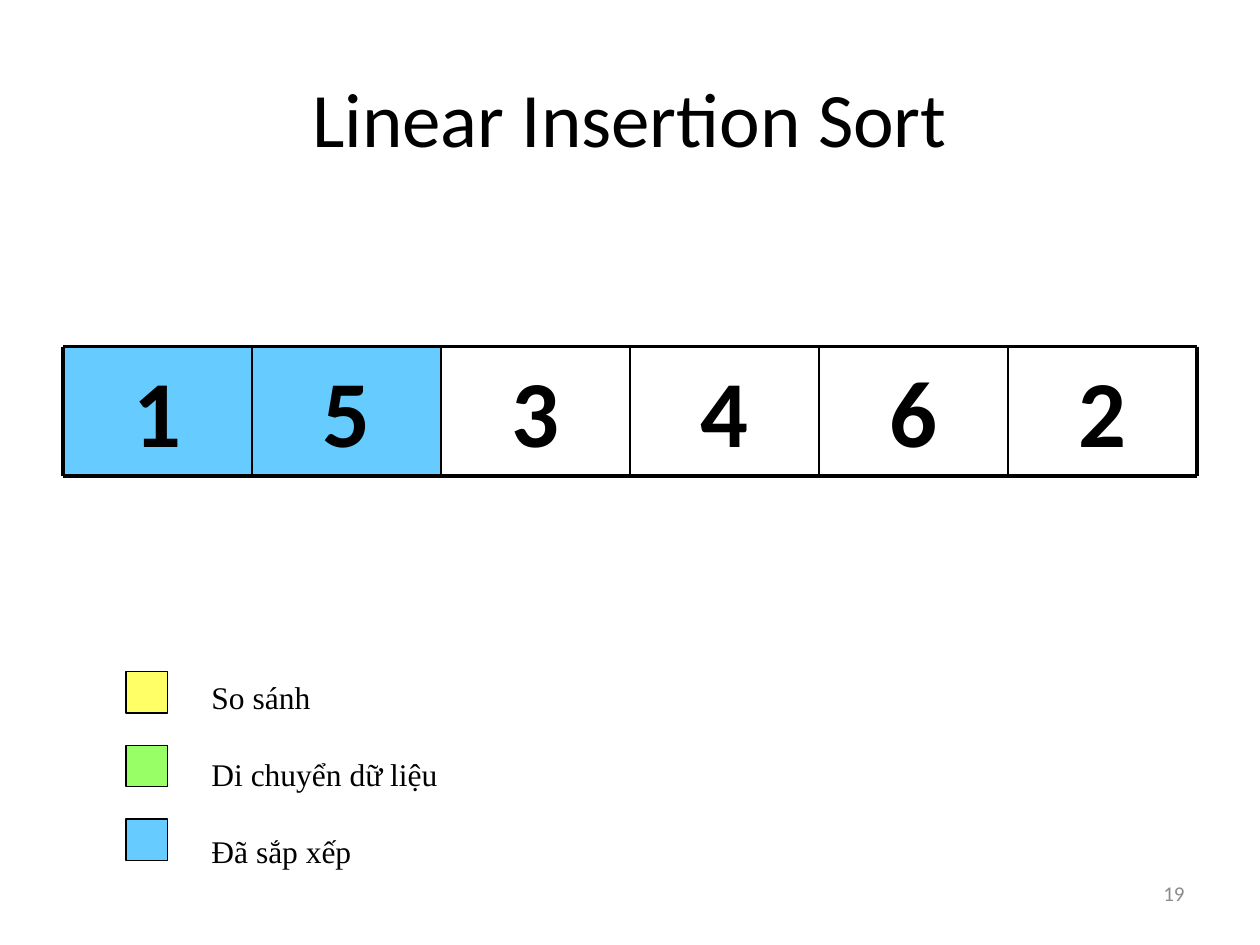
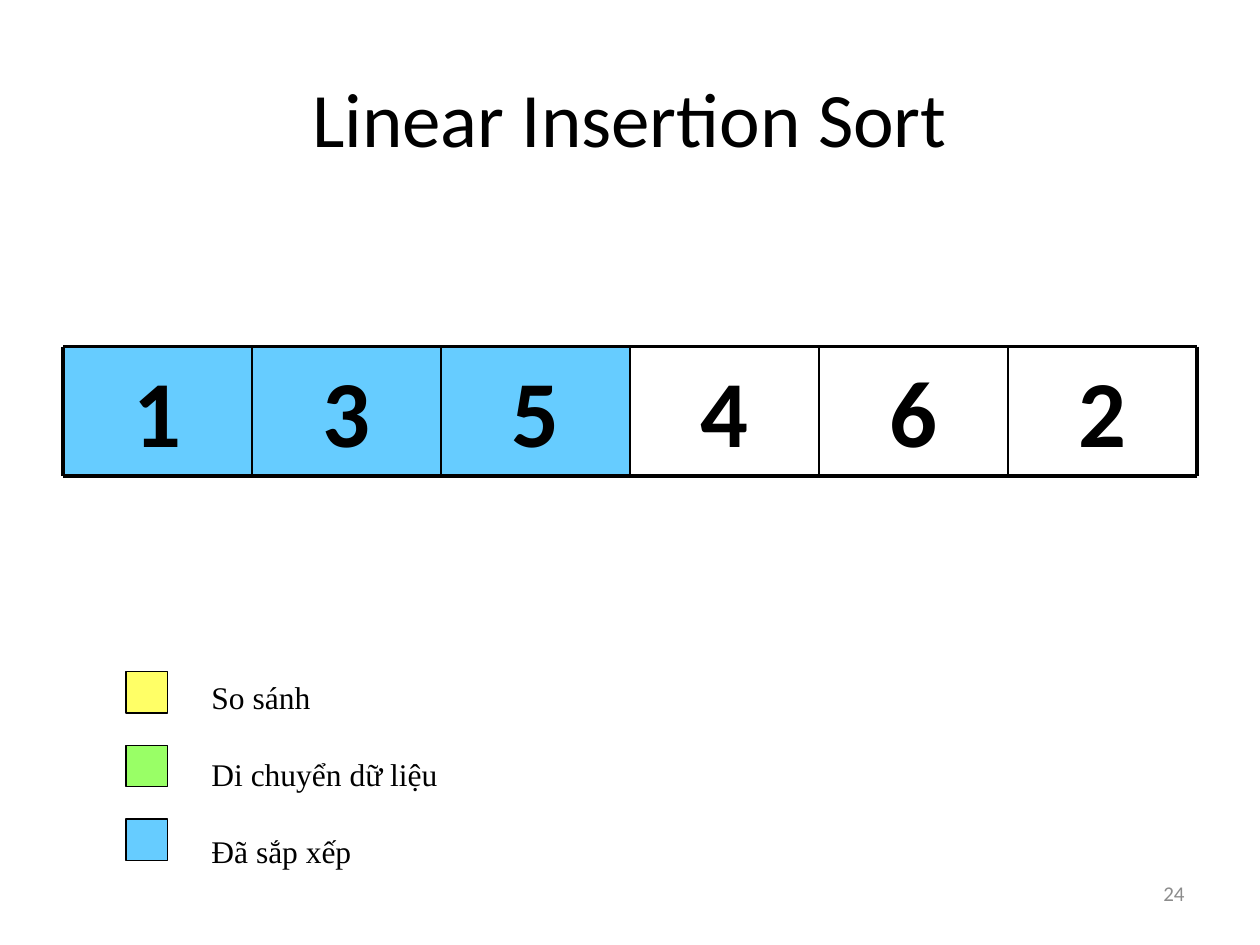
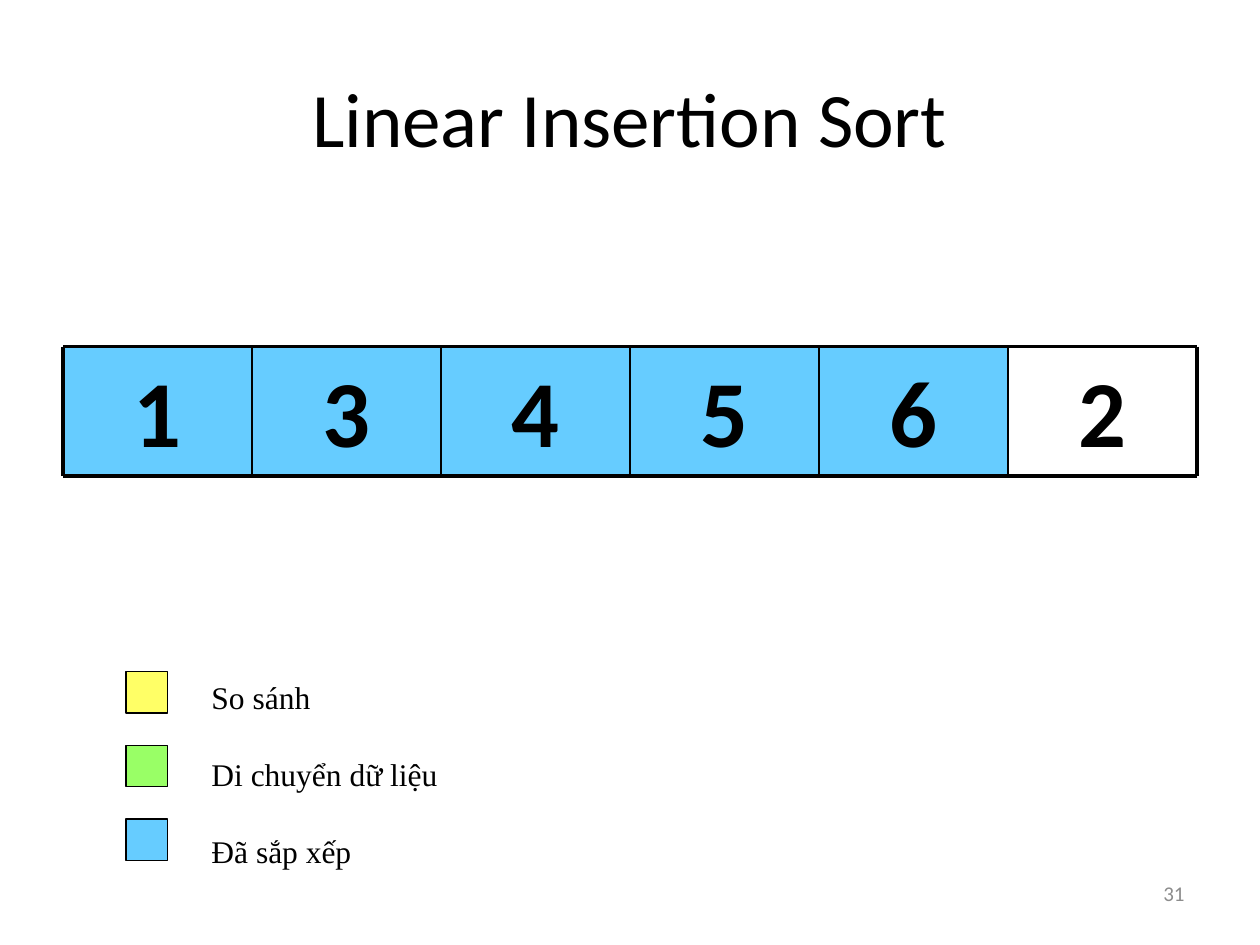
import pptx
import pptx.dml.color
import pptx.enum.shapes
import pptx.enum.text
import pptx.oxml.ns
import pptx.util
from lxml import etree

Inches = pptx.util.Inches
Pt = pptx.util.Pt
Align = pptx.enum.text.PP_ALIGN
Anchor = pptx.enum.text.MSO_ANCHOR
RECT = pptx.enum.shapes.MSO_SHAPE.RECTANGLE
STRAIGHT = pptx.enum.shapes.MSO_CONNECTOR.STRAIGHT


# Shared colours, fonts and type sizes
class Theme:
    ink = "000000"
    grey = "8C8C8C"
    yellow = "FFFF66"
    green = "99FF66"
    blue = "66CCFF"
    sans = "Calibri"
    serif = "Times New Roman"
    title = 44
    digit = 54
    label = 18
    number = 12
    thick = 2.25
    thin = 1
    edge = 0.75


# Array geometry, in inches
LEFT, TOP, WIDE, HIGH = 0.5, 2.75, 1.5, 1.03

LEGEND = [
    ("So sánh", Theme.yellow),
    ("Di chuyển dữ liệu", Theme.green),
    ("Đã sắp xếp", Theme.blue),
]

# Slide number, array values, count of sorted values
STEPS = [
    (19, "153462", 2),
    (24, "135462", 3),
    (31, "134562", 5),
]


def rgb(code):
    return pptx.dml.color.RGBColor.from_string(code)


def add_rect(shapes, box, fill, line=None):
    rect = shapes.add_shape(RECT, *map(Inches, box))
    rect.shadow.inherit = False
    rect.fill.solid()
    rect.fill.fore_color.rgb = rgb(fill)
    if line:
        rect.line.color.rgb = rgb(line)
        rect.line.width = Pt(Theme.edge)
    else:
        rect.line.fill.background()
    return rect


def add_box(shapes, box):
    return shapes.add_textbox(*map(Inches, box))


def add_line(shapes, start, end, width):
    line = shapes.add_connector(STRAIGHT, *map(Inches, start + end))
    line.line.color.rgb = rgb(Theme.ink)
    line.line.width = Pt(width)
    props = line._element.spPr
    etree.SubElement(props, pptx.oxml.ns.qn("a:effectLst"))


def set_text(shape, lines, size, font=Theme.sans, color=Theme.ink,
             align=Align.CENTER, anchor=Anchor.MIDDLE, bold=False, gap=0):
    frame = shape.text_frame
    frame.word_wrap = True
    frame.vertical_anchor = anchor
    frame.text = "\n".join(lines)
    for index, para in enumerate(frame.paragraphs):
        para.alignment = align
        if index and gap:
            para.space_before = Pt(gap)
        para.font.size = Pt(size)
        para.font.name = font
        para.font.bold = bold
        para.font.color.rgb = rgb(color)
    return frame


def add_title(slide):
    box = add_box(slide.shapes, (0.5, 0.3, 9, 1.25))
    set_text(box, ["Linear Insertion Sort"], Theme.title)


def add_array(slide, values, done):
    shapes = slide.shapes.add_group_shape().shapes
    count = len(values)
    right, base = LEFT + count * WIDE, TOP + HIGH

    # Cells, with the sorted ones filled
    for index, value in enumerate(values):
        box = (LEFT + index * WIDE, TOP, WIDE, HIGH)
        if index < done:
            cell = add_rect(shapes, box, Theme.blue)
        else:
            cell = add_box(shapes, box)
        set_text(cell, [value], Theme.digit, anchor=Anchor.TOP, bold=True)

    # Frame and dividers
    for y in (TOP, base):
        add_line(shapes, (LEFT, y), (right, y), Theme.thick)
    for index in range(count + 1):
        x = LEFT + index * WIDE
        width = Theme.thick if index in (0, count) else Theme.thin
        add_line(shapes, (x, TOP), (x, base), width)


def add_legend(slide):
    top, size = 5.33, 0.33
    for index, (_, color) in enumerate(LEGEND):
        y = top + index * 0.585
        add_rect(slide.shapes, (1, y, size, size), color, Theme.ink)
    box = add_box(slide.shapes, (1.58, top, 2.01, 1.62))
    frame = set_text(box, [label for label, _ in LEGEND], Theme.label,
                     font=Theme.serif, align=Align.LEFT,
                     anchor=Anchor.TOP, gap=22.5)
    frame.word_wrap = False
    frame.auto_size = pptx.enum.text.MSO_AUTO_SIZE.SHAPE_TO_FIT_TEXT


def add_number(slide, number):
    box = add_box(slide.shapes, (7.17, 6.83, 2.33, 0.52))
    set_text(box, [str(number)], Theme.number, color=Theme.grey,
             align=Align.RIGHT)


def main():
    deck = pptx.Presentation()
    deck.slide_width = Inches(10)
    deck.slide_height = Inches(7.5)
    for number, values, done in STEPS:
        slide = deck.slides.add_slide(deck.slide_layouts[6])
        add_title(slide)
        add_array(slide, values, done)
        add_legend(slide)
        add_number(slide, number)
    deck.save("out.pptx")


if __name__ == "__main__":
    main()
